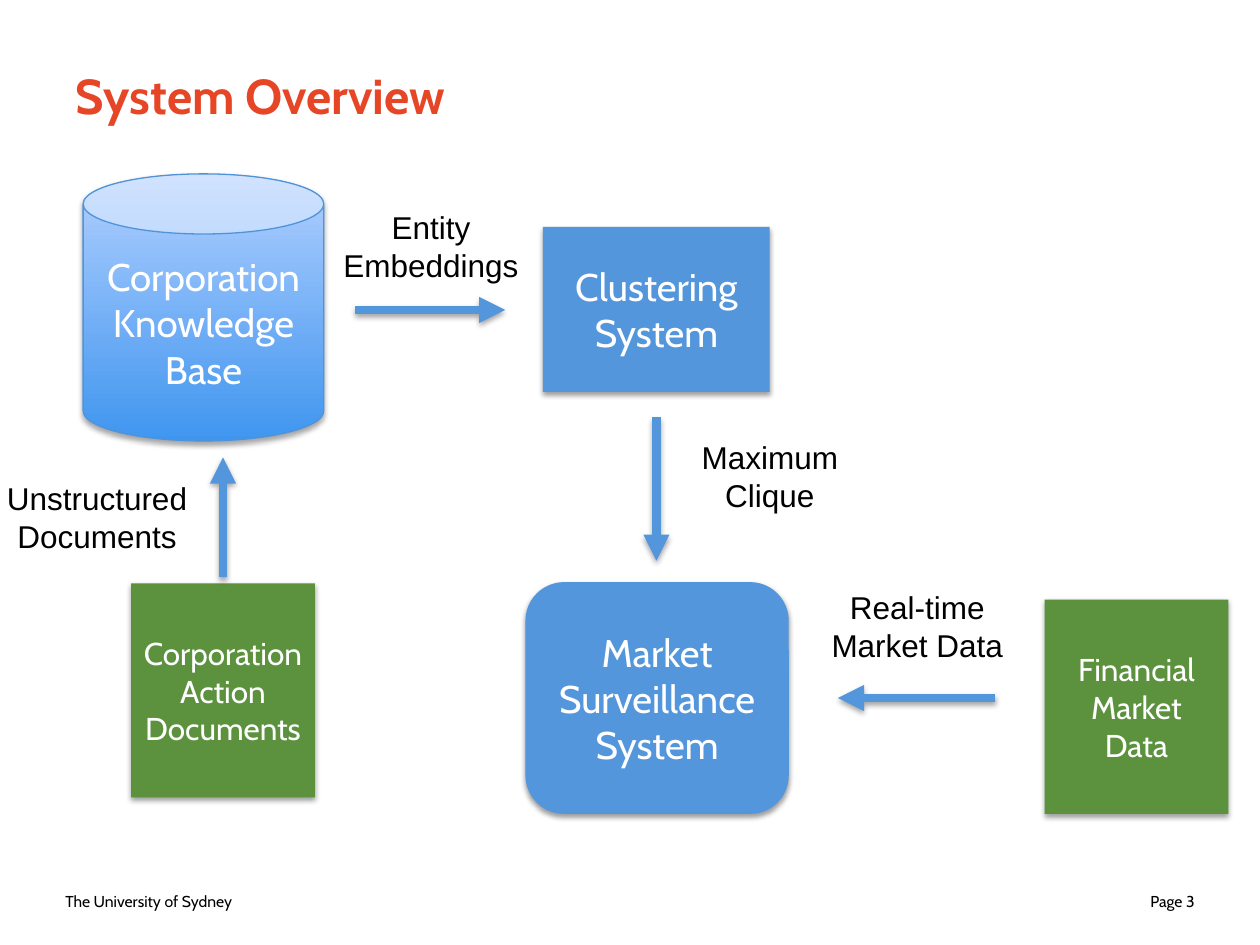
from dataclasses import dataclass

import lxml.etree
import pptx
import pptx.dml.color
import pptx.enum.shapes
import pptx.enum.text
import pptx.oxml.ns
import pptx.util

Inches = pptx.util.Inches
SHAPE = pptx.enum.shapes.MSO_SHAPE
ALIGN = pptx.enum.text.PP_ALIGN
ANCHOR = pptx.enum.text.MSO_ANCHOR

COLORS = {
    "title": "E64626", "text": "000000", "white": "FFFFFF",
    "system": "5496DB", "source": "5C923E", "outline": "4F93D9",
    "base_bottom": "4096EF", "base_top": "B2CFFF",
}
LABEL_SIZE = (1.68, 0.71)
SOURCE_SIZE = (1.46, 1.7)


@dataclass
class Node:
    kind: int
    box: tuple[float, float, float, float]
    lines: list[str]
    color: str
    size: int


@dataclass
class Flow:
    start: tuple[float, float]
    end: tuple[float, float]
    label_at: tuple[float, float]
    lines: list[str]


NODES = [
    Node(SHAPE.RECTANGLE, (4.31, 1.8, 1.8, 1.31), ["Clustering", "System"], "system", 22),
    Node(SHAPE.CAN, (0.66, 1.38, 1.91, 2.12), ["Corporation Knowledge Base"], "base", 22),
    Node(SHAPE.ROUNDED_RECTANGLE, (4.17, 4.62, 2.09, 1.84),
         ["Market Surveillance", "System"], "system", 22),
    Node(SHAPE.RECTANGLE, (1.04, 4.63, *SOURCE_SIZE),
         ["Corporation Action Documents"], "source", 18),
    Node(SHAPE.RECTANGLE, (8.29, 4.76, *SOURCE_SIZE), ["Financial Market", "Data"], "source", 18),
]
FLOWS = [
    Flow((2.82, 2.46), (4.01, 2.46), (2.58, 1.6), ["Entity Embeddings"]),
    Flow((5.21, 3.31), (5.21, 4.45), (5.27, 3.43), ["Maximum Clique"]),
    Flow((1.77, 4.58), (1.77, 3.63), (-0.07, 3.75), ["Unstructured", "Documents"]),
    Flow((7.9, 5.54), (6.65, 5.54), (6.44, 4.62), ["Real-time", "Market Data"]),
]


def rgb(name: str) -> pptx.dml.color.RGBColor:
    return pptx.dml.color.RGBColor.from_string(COLORS[name])


def add_child(parent, tag: str, **attributes: str):
    return lxml.etree.SubElement(parent, pptx.oxml.ns.qn(tag), attributes)


def add_shadow(effects, distance: int, opacity: int) -> None:
    shadow = add_child(effects, "a:outerShdw", blurRad="40000", dist=str(distance),
                       dir="5400000", rotWithShape="0")
    color = add_child(shadow, "a:srgbClr", val=COLORS["text"])
    add_child(color, "a:alpha", val=str(opacity * 1000))


def write(frame, lines: list[str], alignment, anchor, **font_format) -> None:
    color = font_format.pop("color")
    frame.word_wrap = True
    frame.vertical_anchor = anchor
    for index, line in enumerate(lines):
        paragraph = frame.add_paragraph() if index else frame.paragraphs[0]
        paragraph.text = line
        paragraph.alignment = alignment
        for name, value in font_format.items():
            setattr(paragraph.font, name, value)
        paragraph.font.color.rgb = rgb(color)


def add_text(slide, box: tuple, lines: list[str], alignment, anchor, name: str, size: int) -> None:
    textbox = slide.shapes.add_textbox(*map(Inches, box))
    write(textbox.text_frame, lines, alignment, anchor,
          name=name, size=pptx.util.Pt(size), color="text")


def add_node(slide, node: Node) -> None:
    shape = slide.shapes.add_shape(node.kind, *map(Inches, node.box))
    is_base = node.color == "base"
    if is_base:
        shape.fill.gradient()
        shape.fill.gradient_angle = 90
        for stop, color in zip(shape.fill.gradient_stops, ("base_bottom", "base_top")):
            stop.color.rgb = rgb(color)
        shape.line.color.rgb = rgb("outline")
        shape.line.width = pptx.util.Pt(0.75)
    else:
        shape.fill.solid()
        shape.fill.fore_color.rgb = rgb(node.color)
        shape.line.fill.background()
    shape.shadow.inherit = False
    effects = shape._element.spPr.find(pptx.oxml.ns.qn("a:effectLst"))
    add_shadow(effects, 23000 if is_base else 20000, 35 if is_base else 38)
    write(shape.text_frame, node.lines, ALIGN.CENTER, ANCHOR.MIDDLE,
          name="Cabin", size=pptx.util.Pt(node.size), color="white")


def add_flow(slide, flow: Flow) -> None:
    connector = slide.shapes.add_connector(
        pptx.enum.shapes.MSO_CONNECTOR.STRAIGHT, *map(Inches, flow.start + flow.end))
    connector.line.color.rgb = rgb("system")
    connector.line.width = pptx.util.Pt(5)
    add_child(connector.line._get_or_add_ln(), "a:tailEnd", type="triangle")
    add_shadow(add_child(connector._element.spPr, "a:effectLst"), 23000, 35)
    add_text(slide, flow.label_at + LABEL_SIZE, flow.lines,
             ALIGN.CENTER, ANCHOR.TOP, "Arial", 18)


def main() -> None:
    presentation = pptx.Presentation()
    presentation.slide_width, presentation.slide_height = Inches(10), Inches(7.5)
    slide = presentation.slides.add_slide(presentation.slide_layouts[5])

    title = slide.shapes.title
    bounds = {"left": 0.5, "top": 0.13, "width": 9, "height": 1.25}
    for name, value in bounds.items():
        setattr(title, name, Inches(value))
    write(title.text_frame, ["System Overview"], ALIGN.LEFT, ANCHOR.MIDDLE,
          name="Cabin", size=pptx.util.Pt(28), bold=True, color="title")

    for left, text, alignment in ((0.42, "The University of Sydney", ALIGN.LEFT),
                                  (7.25, "Page 3", ALIGN.RIGHT)):
        add_text(slide, (left, 6.95, 2.33, 0.4), [text], alignment, ANCHOR.MIDDLE, "Cabin", 9)
    for node in NODES:
        add_node(slide, node)
    for flow in FLOWS:
        add_flow(slide, flow)

    presentation.save("out.pptx")


if __name__ == "__main__":
    main()
